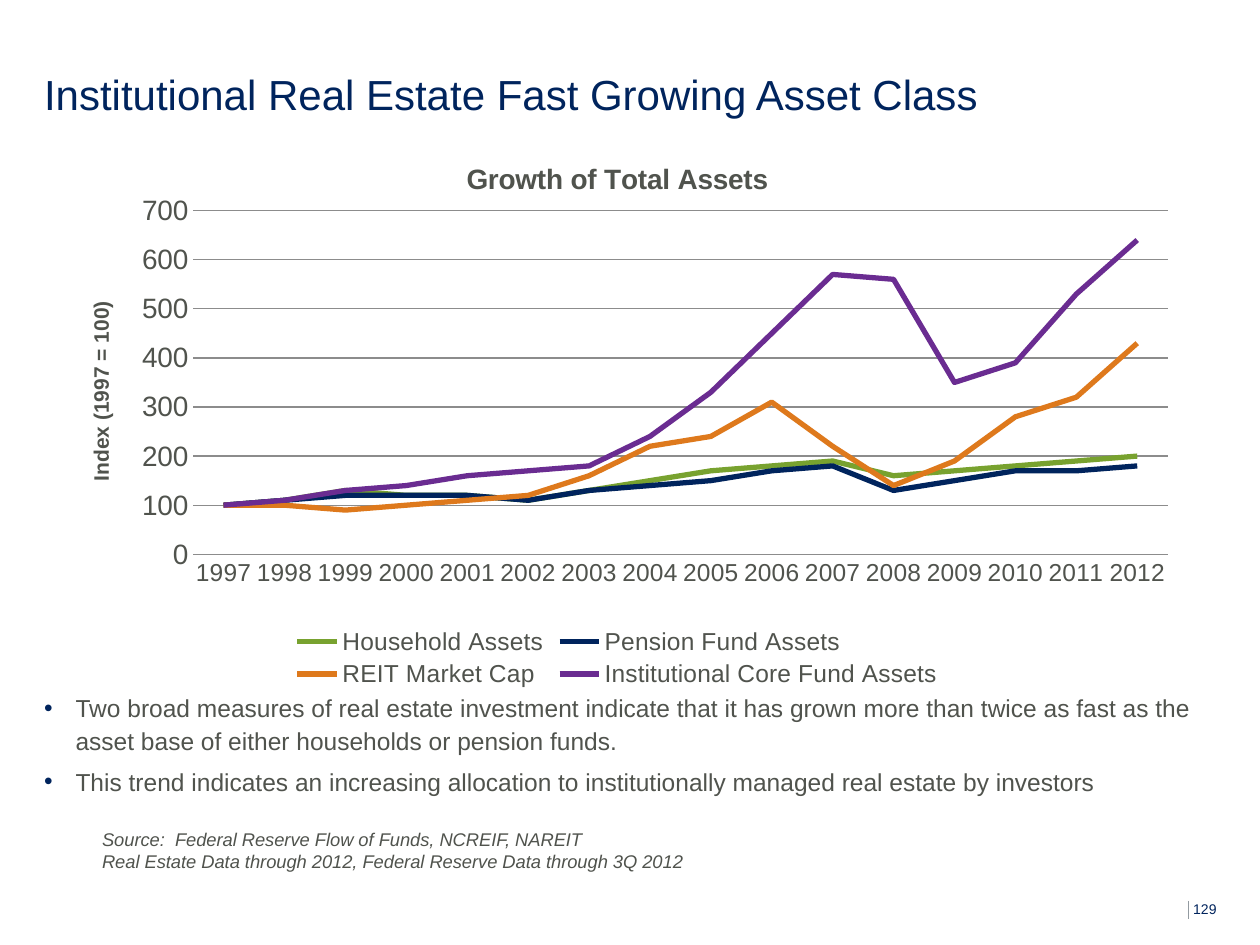
from dataclasses import dataclass

from pptx import Presentation
from pptx.chart.data import CategoryChartData
from pptx.dml.color import RGBColor
from pptx.enum.chart import XL_CHART_TYPE as ChartType
from pptx.enum.chart import XL_LEGEND_POSITION as LegendPosition
from pptx.enum.chart import XL_MARKER_STYLE as Marker
from pptx.enum.chart import XL_TICK_MARK as TickMark
from pptx.enum.shapes import MSO_CONNECTOR as Connector
from pptx.enum.text import MSO_ANCHOR as Anchor
from pptx.oxml import parse_xml
from pptx.oxml.ns import nsdecls, qn
from pptx.util import Pt

EMU_PER_PX = 9144  # 100 px to the inch


@dataclass(frozen=True)
class Theme:
    font: str = "Arial"
    navy: str = "00245D"
    text: str = "50534D"
    rule: str = "939BA1"
    grid: str = "8C8C8C"
    green: str = "78A22F"
    orange: str = "DE791C"
    purple: str = "6A2C91"
    title_size: float = 24
    chart_title_size: float = 16
    body_size: float = 14
    axis_title_size: float = 12
    source_size: float = 10.5
    page_size: float = 8


THEME = Theme()
YEARS = [str(year) for year in range(1997, 2013)]
ASSET_GROWTH = [
    ("Household Assets", THEME.green,
     [100, 110, 130, 120, 120, 110, 130, 150, 170, 180, 190, 160, 170, 180, 190, 200]),
    ("Pension Fund Assets", THEME.navy,
     [100, 110, 120, 120, 120, 110, 130, 140, 150, 170, 180, 130, 150, 170, 170, 180]),
    ("REIT Market Cap", THEME.orange,
     [100, 100, 90, 100, 110, 120, 160, 220, 240, 310, 220, 140, 190, 280, 320, 430]),
    ("Institutional Core Fund Assets", THEME.purple,
     [100, 110, 130, 140, 160, 170, 180, 240, 330, 450, 570, 560, 350, 390, 530, 640]),
]
TAKEAWAYS = [
    "Two broad measures of real estate investment indicate that it has grown more than "
    "twice as fast as the asset base of either households or pension funds.",
    "This trend indicates an increasing allocation to institutionally managed real estate "
    "by investors",
]
SOURCES = [
    "Source:  Federal Reserve Flow of Funds, NCREIF, NAREIT",
    "Real Estate Data through 2012, Federal Reserve Data through 3Q 2012",
]


def px(*lengths):
    return [length * EMU_PER_PX for length in lengths]


class SlideBuilder:
    def __init__(self, slide, theme):
        self.slide = slide
        self.theme = theme

    def style(self, font, size, color, bold=False, italic=False):
        font.name = self.theme.font
        font.size = Pt(size)
        font.color.rgb = RGBColor.from_string(color)
        font.bold = bold
        font.italic = italic

    def text(self, box, lines, size, color, anchor=Anchor.TOP, inset=0, italic=False):
        frame = self.slide.shapes.add_textbox(*px(*box)).text_frame
        frame.word_wrap = True
        frame.vertical_anchor = anchor
        frame.margin_left, frame.margin_top, frame.margin_right, frame.margin_bottom = px(*[inset] * 4)
        frame.text = "\n".join(lines)
        for paragraph in frame.paragraphs:
            for run in paragraph.runs:
                self.style(run.font, size, color, italic=italic)
        return frame

    def bullets(self, box, lines, size, color, bullet_color, indent):
        frame = self.text(box, lines, size, color)
        (hanging,) = px(indent)
        for index, paragraph in enumerate(frame.paragraphs):
            paragraph.line_spacing = 1.1
            if index:
                paragraph.space_before = Pt(5)
            properties = paragraph._p.get_or_add_pPr()
            properties.set("marL", str(hanging))
            properties.set("indent", str(-hanging))
            properties.append(parse_xml(
                f'<a:buClr {nsdecls("a")}><a:srgbClr val="{bullet_color}"/></a:buClr>'))
            properties.append(parse_xml(f'<a:buFont {nsdecls("a")} typeface="{self.theme.font}"/>'))
            properties.append(parse_xml(f'<a:buChar {nsdecls("a")} char="•"/>'))

    def line(self, start, end, color, width):
        connector = self.slide.shapes.add_connector(Connector.STRAIGHT, *px(*start, *end))
        connector.line.color.rgb = RGBColor.from_string(color)
        connector.line.width = Pt(width)
        connector._element.spPr.append(parse_xml(f'<a:effectLst {nsdecls("a")}/>'))

    def heading(self, owner, text, size):
        """Give a chart or an axis its bold title."""
        owner.has_title = True
        title = owner.chart_title if hasattr(owner, "chart_title") else owner.axis_title
        title.text_frame.text = text
        self.style(title.text_frame.paragraphs[0].runs[0].font, size, self.theme.text, bold=True)
        return title

    def line_chart(self, box, title, value_title, categories, series, plot):
        theme = self.theme
        data = CategoryChartData()
        data.categories = categories
        for name, _, values in series:
            data.add_series(name, values)
        chart = self.slide.shapes.add_chart(ChartType.LINE, *px(*box), data).chart
        self.style(chart.font, theme.body_size, theme.text)
        self.heading(chart, title, theme.chart_title_size)
        chart.has_legend = True
        chart.legend.position = LegendPosition.BOTTOM
        chart.legend.include_in_layout = False
        self.style(chart.legend.font, theme.body_size, theme.text)

        chart.plots[0].vary_by_categories = False
        for line, (_, color, _) in zip(chart.plots[0].series, series):
            line.smooth = False
            line.marker.style = Marker.NONE
            line.format.line.color.rgb = RGBColor.from_string(color)
            line.format.line.width = Pt(3)

        grid = RGBColor.from_string(theme.grid)
        category_axis, value_axis = chart.category_axis, chart.value_axis
        for axis, size in ((category_axis, theme.body_size), (value_axis, theme.chart_title_size)):
            axis.major_tick_mark = axis.minor_tick_mark = TickMark.NONE
            self.style(axis.tick_labels.font, size, theme.text)
        category_axis.format.line.color.rgb = grid
        value_axis.format.line.fill.background()
        value_axis.minimum_scale, value_axis.maximum_scale = 0, 700
        value_axis.major_unit = 100
        value_axis.has_major_gridlines = True
        value_axis.major_gridlines.format.line.color.rgb = grid
        value_axis.major_gridlines.format.line.width = Pt(0.75)
        axis_title = self.heading(value_axis, value_title, theme.axis_title_size)
        body = axis_title.text_frame._txBody.find(qn("a:bodyPr"))
        body.set("rot", "-5400000")
        body.set("vert", "horz")
        self.place_plot(chart, plot)

    def place_plot(self, chart, fractions):
        """Fix the inner plot area as fractions of the chart: x, y, w, h."""
        modes = "".join(f'<c:{side}Mode val="edge"/>' for side in "xy")
        sizes = "".join(f'<c:{side} val="{value}"/>' for side, value in zip("xywh", fractions))
        area = chart._chartSpace.find(".//" + qn("c:plotArea"))
        for layout in area.findall(qn("c:layout")):
            area.remove(layout)
        area.insert(0, parse_xml(
            f'<c:layout {nsdecls("c")}><c:manualLayout><c:layoutTarget val="inner"/>'
            f"{modes}{sizes}</c:manualLayout></c:layout>"))


def main():
    presentation = Presentation()
    presentation.slide_width, presentation.slide_height = px(1000, 750)
    slide = presentation.slides.add_slide(presentation.slide_layouts[6])
    builder = SlideBuilder(slide, THEME)

    builder.line((943, 715), (943, 729), THEME.rule, 0.5)
    builder.text((947, 715, 40, 21), ["129"], THEME.page_size, THEME.navy)
    builder.text((35, 14, 930, 80), ["Institutional Real Estate Fast Growing Asset Class"],
                 THEME.title_size, THEME.navy, anchor=Anchor.BOTTOM)
    builder.line_chart((35, 110, 910, 440), "Growth of Total Assets", "Index (1997 = 100)",
                       YEARS, ASSET_GROWTH, plot=(0.13, 0.13, 0.85, 0.62))
    builder.bullets((35, 548, 930, 123), TAKEAWAYS, THEME.body_size, THEME.text,
                    bullet_color=THEME.navy, indent=25)
    builder.text((77, 653, 842, 43), SOURCES, THEME.source_size, THEME.text,
                 anchor=Anchor.BOTTOM, inset=4, italic=True)
    presentation.save("out.pptx")


if __name__ == "__main__":
    main()
